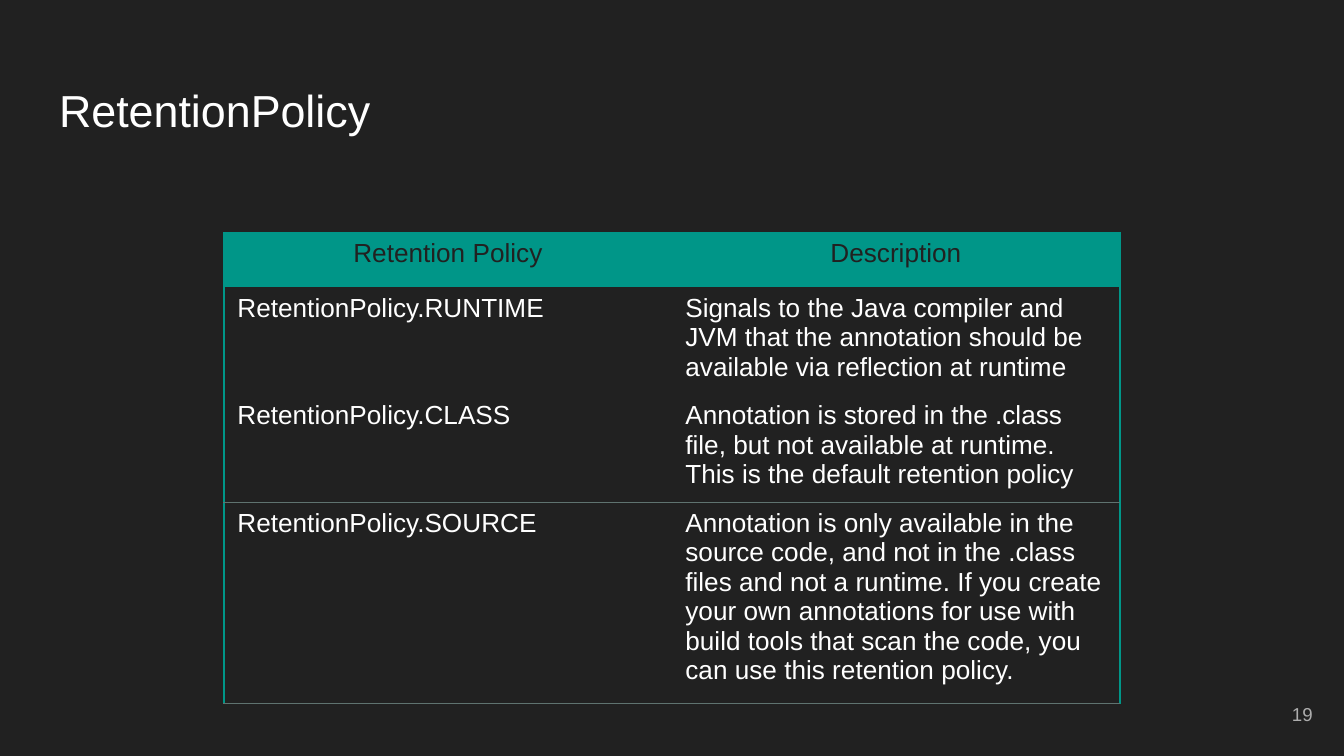
from dataclasses import dataclass

from lxml import etree
from pptx import Presentation
from pptx.dml.color import RGBColor
from pptx.enum.text import MSO_ANCHOR, PP_ALIGN
from pptx.oxml.ns import qn
from pptx.util import Inches, Pt

LEFT, MID, RIGHT = PP_ALIGN.LEFT, PP_ALIGN.CENTER, PP_ALIGN.RIGHT
CENTRE, BOTTOM = MSO_ANCHOR.MIDDLE, MSO_ANCHOR.BOTTOM
WIDE = 10
HIGH = WIDE * 9 / 16


@dataclass(frozen=True)
class Theme:
    font: str = "Arial"
    back: str = "212121"
    text: str = "FFFFFF"
    teal: str = "009688"
    rule: str = "5F7370"
    mute: str = "ADADAD"
    title: int = 24
    body: int = 14
    small: int = 10


@dataclass(frozen=True)
class Box:
    """A place given in percent of the slide."""
    x: float
    y: float
    w: float
    h: float

    def place(self) -> tuple:
        return (Inches(self.x * WIDE / 100), Inches(self.y * HIGH / 100),
                Inches(self.w * WIDE / 100), Inches(self.h * HIGH / 100))


@dataclass(frozen=True)
class Row:
    name: str
    note: str
    ruled: bool = False  # thin line below


THEME = Theme()
HEAD = Box(3.41, 8.65, 93.2, 11.2)
PAGE = Box(92.65, 90.67, 6, 7.65)
GRID = Box(100 / 6, 30.75, 200 / 3, 28.8)  # rows grow to fit their text
ROWS = [
    Row("Retention Policy", "Description"),
    Row("RetentionPolicy.RUNTIME",
        "Signals to the Java compiler and JVM that the annotation should be "
        "available via reflection at runtime"),
    Row("RetentionPolicy.CLASS",
        "Annotation is stored in the .class file, but not available at "
        "runtime. This is the default retention policy", True),
    Row("RetentionPolicy.SOURCE",
        "Annotation is only available in the source code, and not in the "
        ".class files and not a runtime. If you create your own annotations "
        "for use with build tools that scan the code, you can use this "
        "retention policy.", True),
]


def write(frame, text: str, *, size: int = THEME.body,
          color: str = THEME.text, align=LEFT) -> None:
    para = frame.paragraphs[0]
    para.alignment = align
    run = para.add_run()
    run.text = text
    run.font.name = THEME.font
    run.font.size = Pt(size)
    run.font.bold = False
    run.font.color.rgb = RGBColor.from_string(color)


def label(slide, box: Box, text: str, anchor, **style) -> None:
    frame = slide.shapes.add_textbox(*box.place()).text_frame
    frame.word_wrap = True
    frame.vertical_anchor = anchor
    frame.margin_left = frame.margin_right = Inches(0.1)
    frame.margin_top = frame.margin_bottom = Inches(0.1)
    write(frame, text, **style)


def edge(cell, sides: dict) -> None:
    """Set the four borders; a side without a (colour, points) is clear."""
    props = cell._tc.get_or_add_tcPr()
    for i, side in enumerate("LRTB"):
        line = etree.Element(qn(f"a:ln{side}"))
        props.insert(i, line)
        if side in sides:
            color, width = sides[side]
            line.set("w", str(Pt(width)))
            fill = etree.SubElement(line, qn("a:solidFill"))
            etree.SubElement(fill, qn("a:srgbClr"), val=color)
        else:
            etree.SubElement(line, qn("a:noFill"))


def grid(slide, box: Box, rows: list[Row]) -> None:
    table = slide.shapes.add_table(len(rows), 2, *box.place()).table
    table.first_row = table.horz_banding = False
    teal, thin = (THEME.teal, 0.75), (THEME.rule, 0.5)
    for r, row in enumerate(rows):
        head = r == 0
        for c, text in enumerate((row.name, row.note)):
            cell = table.cell(r, c)
            if head:
                cell.fill.solid()
                cell.fill.fore_color.rgb = RGBColor.from_string(THEME.teal)
            else:
                cell.fill.background()
            # Teal outside and around the header, thin rules below
            sides = {"R" if c else "L": teal}
            if r < 2:
                sides["T"] = teal
            elif rows[r - 1].ruled:
                sides["T"] = thin
            if head:
                sides["B"] = teal
            elif row.ruled:
                sides["B"] = thin
            edge(cell, sides)
            write(cell.text_frame, text,
                  color=THEME.back if head else THEME.text,
                  align=MID if head else LEFT)


def main() -> None:
    deck = Presentation()
    deck.slide_width, deck.slide_height = Inches(WIDE), Inches(HIGH)
    slide = deck.slides.add_slide(deck.slide_layouts[6])
    # Background
    fill = slide.background.fill
    fill.solid()
    fill.fore_color.rgb = RGBColor.from_string(THEME.back)
    # Title, table and page number
    label(slide, HEAD, "RetentionPolicy", BOTTOM, size=THEME.title)
    grid(slide, GRID, ROWS)
    label(slide, PAGE, "19", CENTRE, size=THEME.small, color=THEME.mute,
          align=RIGHT)
    deck.save("out.pptx")


if __name__ == "__main__":
    main()
